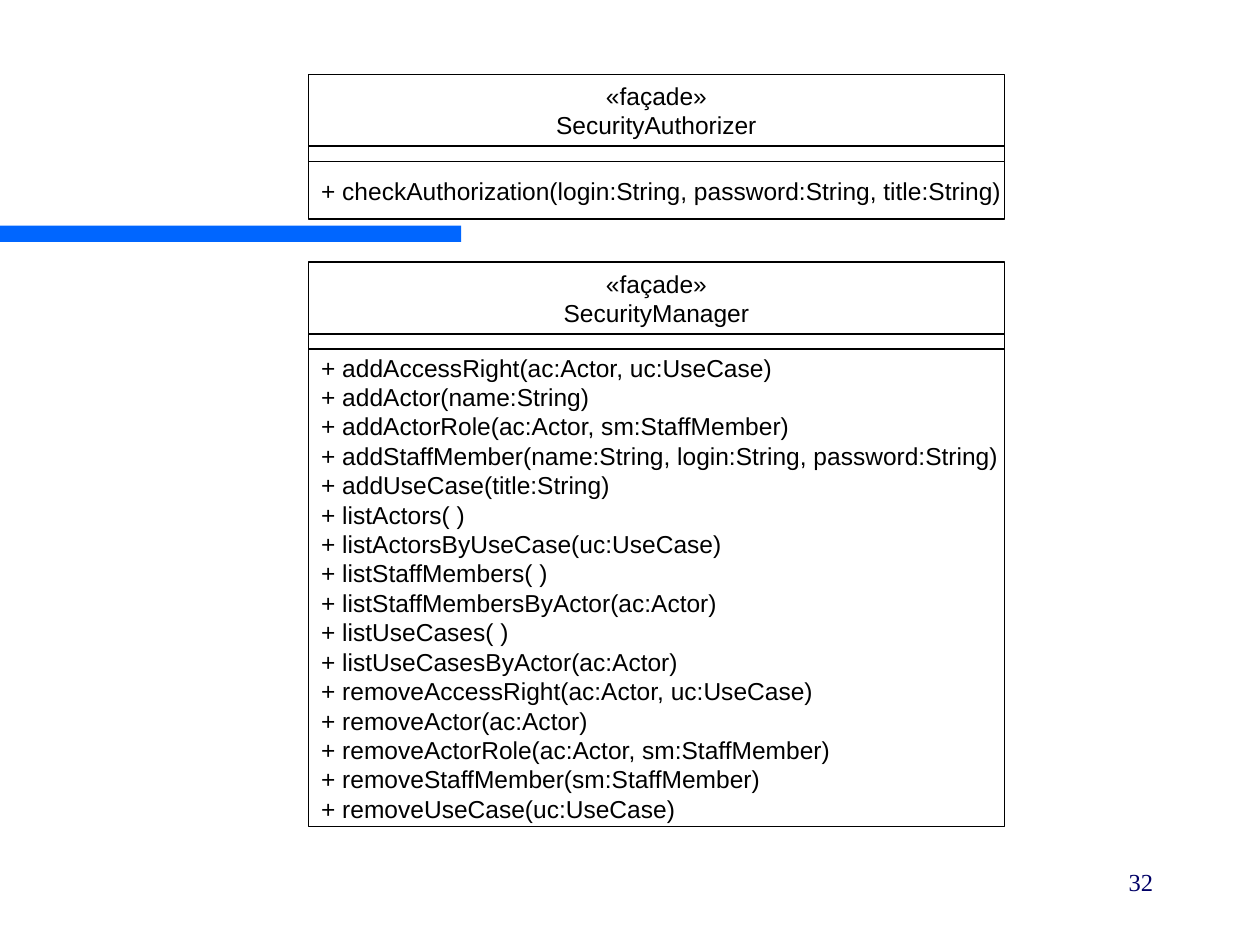
from dataclasses import dataclass

from pptx import Presentation
from pptx.dml.color import RGBColor
from pptx.enum.shapes import MSO_SHAPE
from pptx.enum.text import MSO_ANCHOR, PP_ALIGN
from pptx.shapes.autoshape import Shape
from pptx.shapes.group import GroupShape
from pptx.text.text import TextFrame
from pptx.util import Inches, Pt

CLASS_LEFT = 2.45
CLASS_WIDTH = 5.52
HEADER_HEIGHT = 0.57
ATTRIBUTES_HEIGHT = 0.12
BLACK = "000000"
WHITE = "FFFFFF"


@dataclass
class UmlClass:
    name: str
    top: float
    operations_height: float
    operations: list[str]


CLASSES = [
    UmlClass("SecurityManager", 2.08, 3.79, [
        "addAccessRight(ac:Actor, uc:UseCase)",
        "addActor(name:String)",
        "addActorRole(ac:Actor, sm:StaffMember)",
        "addStaffMember(name:String, login:String, password:String)",
        "addUseCase(title:String)",
        "listActors( )",
        "listActorsByUseCase(uc:UseCase)",
        "listStaffMembers( )",
        "listStaffMembersByActor(ac:Actor)",
        "listUseCases( )",
        "listUseCasesByActor(ac:Actor)",
        "removeAccessRight(ac:Actor, uc:UseCase)",
        "removeActor(ac:Actor)",
        "removeActorRole(ac:Actor, sm:StaffMember)",
        "removeStaffMember(sm:StaffMember)",
        "removeUseCase(uc:UseCase)",
    ]),
    UmlClass("SecurityAuthorizer", 0.59, 0.46, [
        "checkAuthorization(login:String, password:String, title:String)",
    ]),
]


def color(value: str) -> RGBColor:
    return RGBColor.from_string(value)


def format_text(frame: TextFrame, font_name: str, font_color: str,
                alignment: PP_ALIGN) -> None:
    for paragraph in frame.paragraphs:
        paragraph.alignment = alignment
        for run in paragraph.runs:
            run.font.name = font_name
            run.font.size = Pt(14)
            run.font.color.rgb = color(font_color)


def add_rectangle(shapes, left: float, top: float, width: float,
                  height: float, fill: str) -> Shape:
    shape = shapes.add_shape(MSO_SHAPE.RECTANGLE, Inches(left), Inches(top),
                             Inches(width), Inches(height))
    shape.shadow.inherit = False
    shape.fill.solid()
    shape.fill.fore_color.rgb = color(fill)
    shape.line.fill.background()
    return shape


def add_compartment(group: GroupShape, top: float, height: float,
                    lines: list[str], alignment: PP_ALIGN) -> None:
    shape = add_rectangle(group.shapes, CLASS_LEFT, top, CLASS_WIDTH, height, WHITE)
    shape.line.color.rgb = color(BLACK)
    shape.line.width = Pt(0.75)
    if not lines:
        return
    frame = shape.text_frame
    frame.text = "\n".join(lines)
    frame.word_wrap = False
    frame.vertical_anchor = MSO_ANCHOR.MIDDLE
    format_text(frame, "Arial", BLACK, alignment)
    for paragraph in frame.paragraphs:
        paragraph.line_spacing = Pt(16.8)


def add_class(slide, uml_class: UmlClass) -> None:
    group = slide.shapes.add_group_shape()
    attributes_top = uml_class.top + HEADER_HEIGHT
    add_compartment(group, uml_class.top, HEADER_HEIGHT,
                    ["«façade»", uml_class.name], PP_ALIGN.CENTER)
    add_compartment(group, attributes_top, ATTRIBUTES_HEIGHT, [], PP_ALIGN.LEFT)
    add_compartment(group, attributes_top + ATTRIBUTES_HEIGHT,
                    uml_class.operations_height,
                    [f"+ {operation}" for operation in uml_class.operations],
                    PP_ALIGN.LEFT)


def add_slide_number(slide, number: str) -> None:
    box = slide.shapes.add_textbox(Inches(7.17), Inches(6.83), Inches(2.08), Inches(0.5))
    frame = box.text_frame
    frame.word_wrap = True
    frame.text = number
    format_text(frame, "Times New Roman", "000066", PP_ALIGN.RIGHT)
    frame.paragraphs[0].space_before = Pt(8.8)


def main() -> None:
    presentation = Presentation()
    presentation.slide_width = Inches(10)
    presentation.slide_height = Inches(7.5)
    slide = presentation.slides.add_slide(presentation.slide_layouts[6])
    add_rectangle(slide.shapes, 0, 1.79, 3.66, 0.13, "0066FF")
    for uml_class in CLASSES:
        add_class(slide, uml_class)
    add_slide_number(slide, "32")
    presentation.save("out.pptx")


if __name__ == "__main__":
    main()
